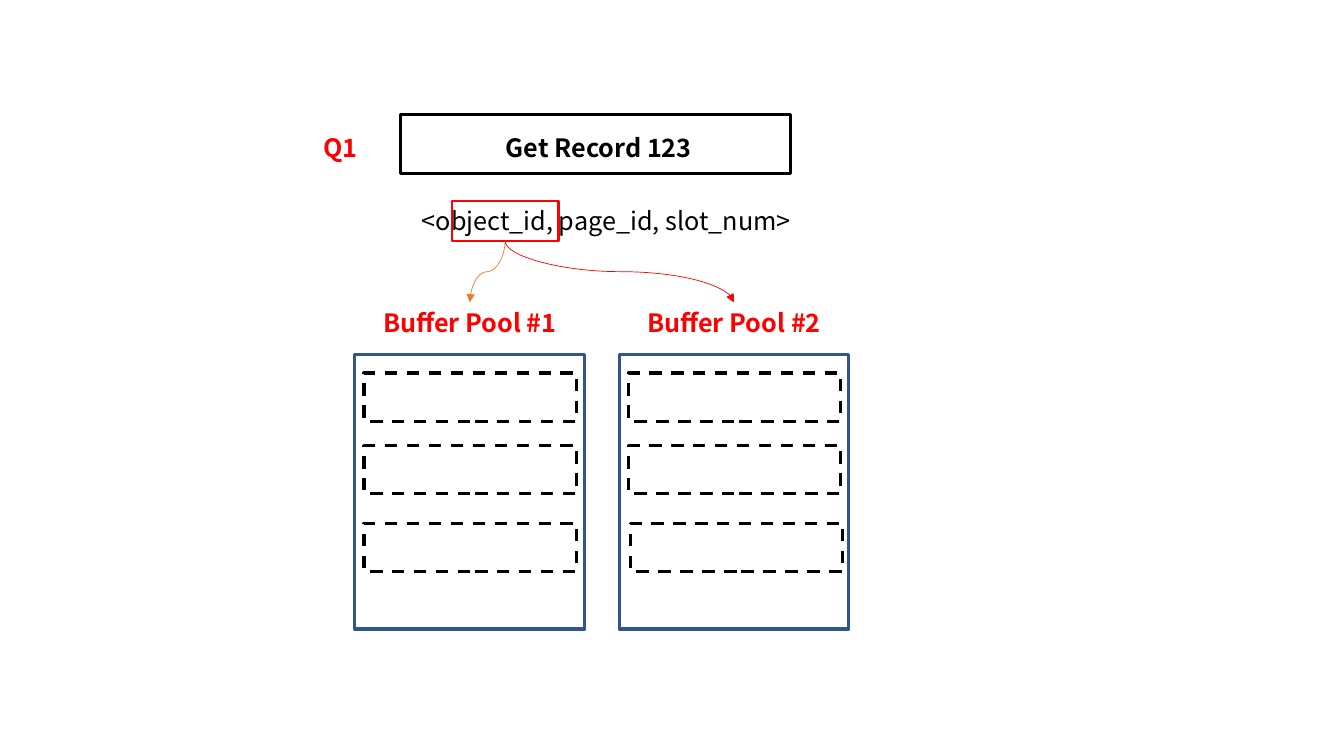
from dataclasses import dataclass

from lxml.etree import SubElement
from pptx import Presentation
from pptx.dml.color import RGBColor
from pptx.enum.dml import MSO_LINE
from pptx.enum.shapes import MSO_CONNECTOR, MSO_SHAPE
from pptx.enum.text import MSO_AUTO_SIZE, PP_ALIGN
from pptx.oxml.ns import qn
from pptx.util import Inches, Pt


@dataclass(frozen=True)
class Theme:
    font: str = "Noto Sans CJK SC"
    text_size: float = 18
    label_height: float = 0.4
    thick: float = 2.25
    medium: float = 1.5
    thin: float = 0.5
    black: str = "000000"
    white: str = "FFFFFF"
    red: str = "FF0000"
    blue: str = "325491"
    orange: str = "ED7D31"


@dataclass(frozen=True)
class Box:
    left: float
    top: float
    width: float
    height: float

    def inches(self):
        return [Inches(v) for v in (self.left, self.top, self.width, self.height)]

    def inner(self, x, y, width, height):
        """A box offset from this one's top left corner."""
        return Box(self.left + x, self.top + y, width, height)


THEME = Theme()


def add_frame(page, box, color, weight, fill=THEME.white, dash=None):
    frame = page.shapes.add_shape(MSO_SHAPE.RECTANGLE, *box.inches())
    frame.shadow.inherit = False
    if fill:
        frame.fill.solid()
        frame.fill.fore_color.rgb = RGBColor.from_string(fill)
    else:
        frame.fill.background()
    frame.line.color.rgb = RGBColor.from_string(color)
    frame.line.width = Pt(weight)
    if dash:
        frame.line.dash_style = dash


def add_label(page, box, text, color, bold=True):
    frame = page.shapes.add_textbox(*box.inches()).text_frame
    frame.word_wrap = True
    frame.auto_size = MSO_AUTO_SIZE.SHAPE_TO_FIT_TEXT
    para = frame.paragraphs[0]
    para.text = text
    para.alignment = PP_ALIGN.CENTER
    para.font.name = THEME.font
    para.font.size = Pt(THEME.text_size)
    para.font.bold = bold
    para.font.color.rgb = RGBColor.from_string(color)


def add_drop_arrow(page, start, end, color):
    """A curve that leaves downwards: a sideways curve turned by a quarter."""
    (x1, y1), (x2, y2) = start, end
    middle_x, middle_y = (x1 + x2) / 2, (y1 + y2) / 2
    half_drop, half_run = (y2 - y1) / 2, abs(x2 - x1) / 2
    side = -1 if x2 < x1 else 1
    arrow = page.shapes.add_connector(
        MSO_CONNECTOR.CURVE,
        Inches(middle_x + side * half_drop), Inches(middle_y - half_run),
        Inches(middle_x - side * half_drop), Inches(middle_y + half_run))
    arrow.line.color.rgb = RGBColor.from_string(color)
    arrow.line.width = Pt(THEME.thin)
    properties = arrow._element.spPr
    quarter_turns = 1 if side < 0 else 3
    properties.find(qn("a:xfrm")).set("rot", str(quarter_turns * 90 * 60000))
    SubElement(properties.find(qn("a:ln")), qn("a:tailEnd"), type="triangle")
    SubElement(properties, qn("a:effectLst"))


def add_query(page, box):
    """Query name on the left, framed request on the right."""
    add_frame(page, box.inner(1.01, 0, 3.87, box.height), THEME.black, THEME.thick)
    label_top = 0.12
    add_label(page, box.inner(1.25, label_top, 3.46, THEME.label_height),
              "Get Record 123", THEME.black)
    add_label(page, box.inner(0, label_top, 0.84, THEME.label_height), "Q1", THEME.red)


def add_record_id(page, box):
    """Record id with its first field marked; returns the marker's bottom centre."""
    add_label(page, box, "<object_id, page_id, slot_num>", THEME.black, bold=False)
    marker = box.inner(0.68, 0, 1.06, box.height)
    add_frame(page, marker, THEME.red, THEME.medium, fill=None)
    return marker.left + marker.width / 2, marker.top + marker.height


def add_pool(page, box, title, last_shift):
    """Title over a framed pool of dashed page slots; returns the top centre."""
    add_label(page, box.inner(0, 0, box.width, THEME.label_height), title, THEME.red)
    frame_top = 0.52
    add_frame(page, box.inner(0, frame_top, box.width, box.height - frame_top),
              THEME.blue, THEME.thick)
    for shift, slot_top in ((0, 0.7), (0, 1.42), (last_shift, 2.19)):
        add_frame(page, box.inner(0.09 + shift, slot_top, 2.11, 0.48),
                  THEME.black, THEME.thick, dash=MSO_LINE.DASH)
    return box.left + box.width / 2, box.top


def build_page(page):
    add_query(page, Box(2.96, 1.14, 4.88, 0.58))
    source = add_record_id(page, Box(3.8, 1.99, 4.43, THEME.label_height))

    # Two pools side by side, each reached by an arrow
    first_pool = Box(3.52, 3, 2.28, 3.24)
    pool_step = 2.62
    pools = (("Buffer Pool #1", THEME.orange, 0), ("Buffer Pool #2", THEME.red, 0.02))
    for column, (title, arrow_color, last_shift) in enumerate(pools):
        box = first_pool.inner(column * pool_step, 0, first_pool.width, first_pool.height)
        target = add_pool(page, box, title, last_shift)
        add_drop_arrow(page, source, target, arrow_color)


def main():
    deck = Presentation()
    deck.slide_width, deck.slide_height = Inches(13.33), Inches(7.5)
    blank_layout = deck.slide_layouts[6]
    build_page(deck.slides.add_slide(blank_layout))
    deck.save("out.pptx")


if __name__ == "__main__":
    main()
